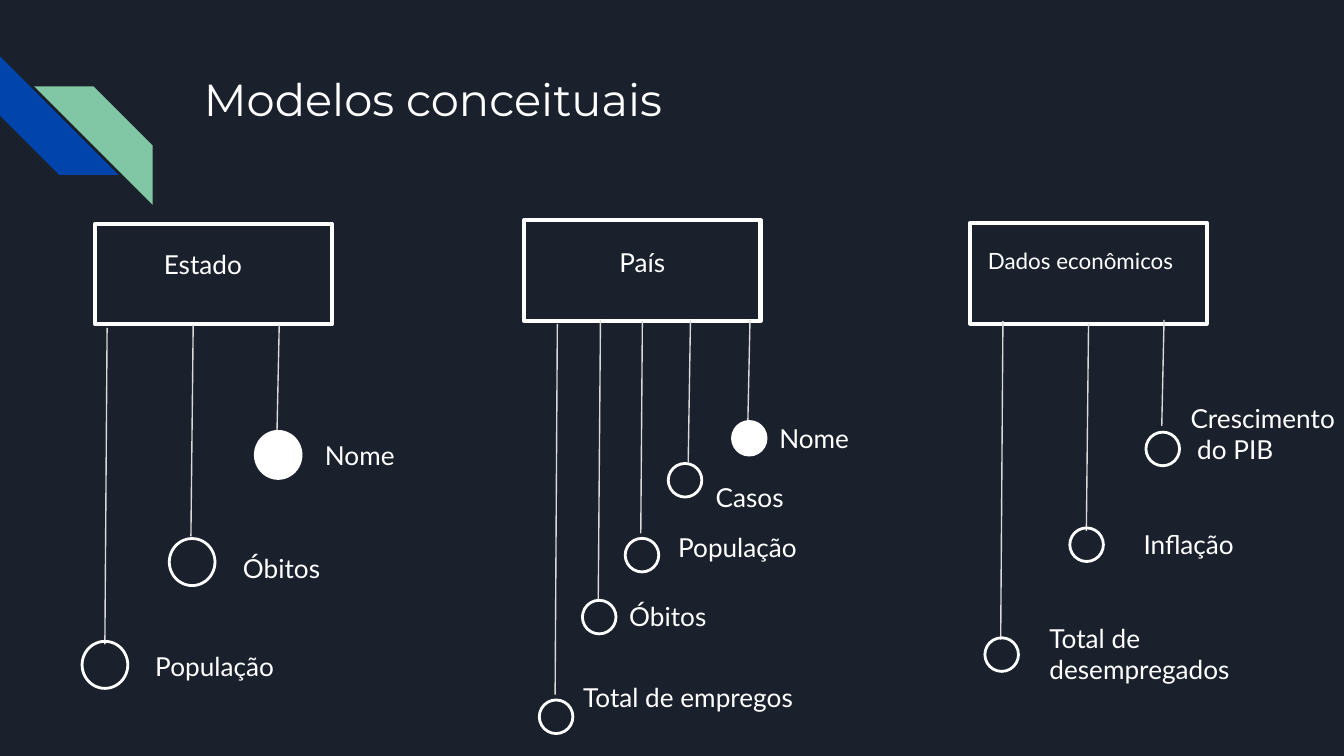
"""Build the slide of conceptual models with their attributes."""
import lxml.etree
import pptx
import pptx.dml.color
import pptx.enum.shapes
import pptx.enum.text
import pptx.oxml.ns
import pptx.util

Pt = pptx.util.Pt
RGBColor = pptx.dml.color.RGBColor
KIND = pptx.enum.shapes.MSO_SHAPE
ALIGN = pptx.enum.text.PP_ALIGN

NAVY = RGBColor(0x1B, 0x21, 0x2C)
BLUE = RGBColor(0x01, 0x45, 0xAC)
GREEN = RGBColor(0x82, 0xC7, 0xA5)
WHITE = RGBColor(0xFF, 0xFF, 0xFF)
GREY = RGBColor(0xD9, 0xD9, 0xD9)

BOX_W, BOX_H = 126.7, 54
LEAN = 1.2

deck = pptx.Presentation()
deck.slide_width, deck.slide_height = Pt(720), Pt(405)
slide = deck.slides.add_slide(deck.slide_layouts[6])
slide.background.fill.solid()
slide.background.fill.fore_color.rgb = NAVY
shapes = slide.shapes


def add_text(words, left, top, width, height, size=14, font="Lato", align=ALIGN.LEFT):
    frame = shapes.add_textbox(Pt(left), Pt(top), Pt(width), Pt(height)).text_frame
    frame.word_wrap = True
    frame.margin_left = frame.margin_right = Pt(7.2)
    frame.margin_top = frame.margin_bottom = Pt(7.2)
    frame.text = words
    for line in frame.paragraphs:
        line.alignment = align
        for run in line.runs:
            run.font.size = Pt(size)
            run.font.name = font
            run.font.color.rgb = WHITE


def add_shape(kind, left, top, width, height, fill=None, weight=None):
    shape = shapes.add_shape(kind, Pt(left), Pt(top), Pt(width), Pt(height))
    shape.shadow.inherit = False
    if fill is None:
        shape.fill.background()
    else:
        shape.fill.solid()
        shape.fill.fore_color.rgb = fill
    if weight is None:
        shape.line.fill.background()
    else:
        shape.line.color.rgb = WHITE
        shape.line.width = Pt(weight)
    return shape


for left, top, turn, color in [(0, 30.2, 270, BLUE), (18.3, 46.3, 90, GREEN)]:
    stripe = add_shape(KIND.DIAGONAL_STRIPE, left, top, 63.5, 63.5, color)
    stripe.adjustments[0] = 0.5
    stripe.rotation = turn

add_text("Modelos conceituais", 102.2, 31, 554.4, 72, 24, "Montserrat")

models = [
    ("Estado", 14, (56.9, 126, 103.7), (51.1, 119.8), (24.5, 25.2), [
        ("Nome", (149.6, 174.2, 231.1), (136.8, 231.1), (167, 228.2, 59.8), WHITE),
        ("Óbitos", (103.5, 174.2, 287.3), (90.7, 288.5), (123.1, 288.7, 59.8), None),
        ("População", (57.4, 175.7, 345.2), (44, 343.6), (76.1, 341, 95.8), None),
    ]),
    ("País", 14, (292.3, 124.6, 103.7), (280.8, 118), (18, 18), [
        ("Nome", (401.8, 171.4, 228.2), (392.4, 225.8), (410.4, 219.2, 59.8), WHITE),
        ("Casos", (369.9, 171.4, 247.7), (358, 248.3), (376.3, 250.8, 59.8), None),
        ("População", (344.5, 172.8, 285.8), (334.9, 288.4), (356.2, 277.5, 135.4), None),
        ("Óbitos", (321.7, 171.4, 321.8), (312, 321.6), (330, 314.5, 59.8), None),
        ("Total de empregos", (298.6, 173.5, 372.2), (288.9, 375), (305.3, 358, 135.4), None),
    ]),
    ("Dados econômicos", 12, (511.2, 125.3, 135.4), (519.8, 119.4), (18, 18), [
        ("Crescimento\n do PIB", (623.6, 171.4, 228.2), (613.9, 231.5), (630.7, 208.2, 135.4), None),
        ("Inflação", (583.2, 171.4, 284.4), (573.1, 282.8), (605.5, 275.8, 135.4), None),
        ("Total de desempregados", (537.3, 172.1, 342.7), (527.6, 341.7), (555.1, 326.2, 135.4), None),
    ]),
]

for name, size, label, corner, dot, traits in models:
    box = add_shape(KIND.RECTANGLE, *corner, BOX_W, BOX_H, weight=2.25)
    add_text(name, *label, 31.7, size, align=ALIGN.CENTER)
    middle = corner[0] + BOX_W / 2
    for words, (start, top, end), spot, (left, high, width), fill in traits:
        stem = shapes.add_connector(
            pptx.enum.shapes.MSO_CONNECTOR.STRAIGHT,
            Pt(start), Pt(top), Pt(start - LEAN), Pt(end))
        if abs(start - middle) < 1:
            stem.begin_connect(box, 2)
        stem.line.color.rgb = GREY
        stem.line.width = Pt(0.75)
        lxml.etree.SubElement(stem._element.spPr, pptx.oxml.ns.qn("a:effectLst"))
        add_shape(KIND.FLOWCHART_CONNECTOR, *spot, *dot, fill, 1.5)
        add_text(words, left, high, width, 31.7)

deck.save("out.pptx")
